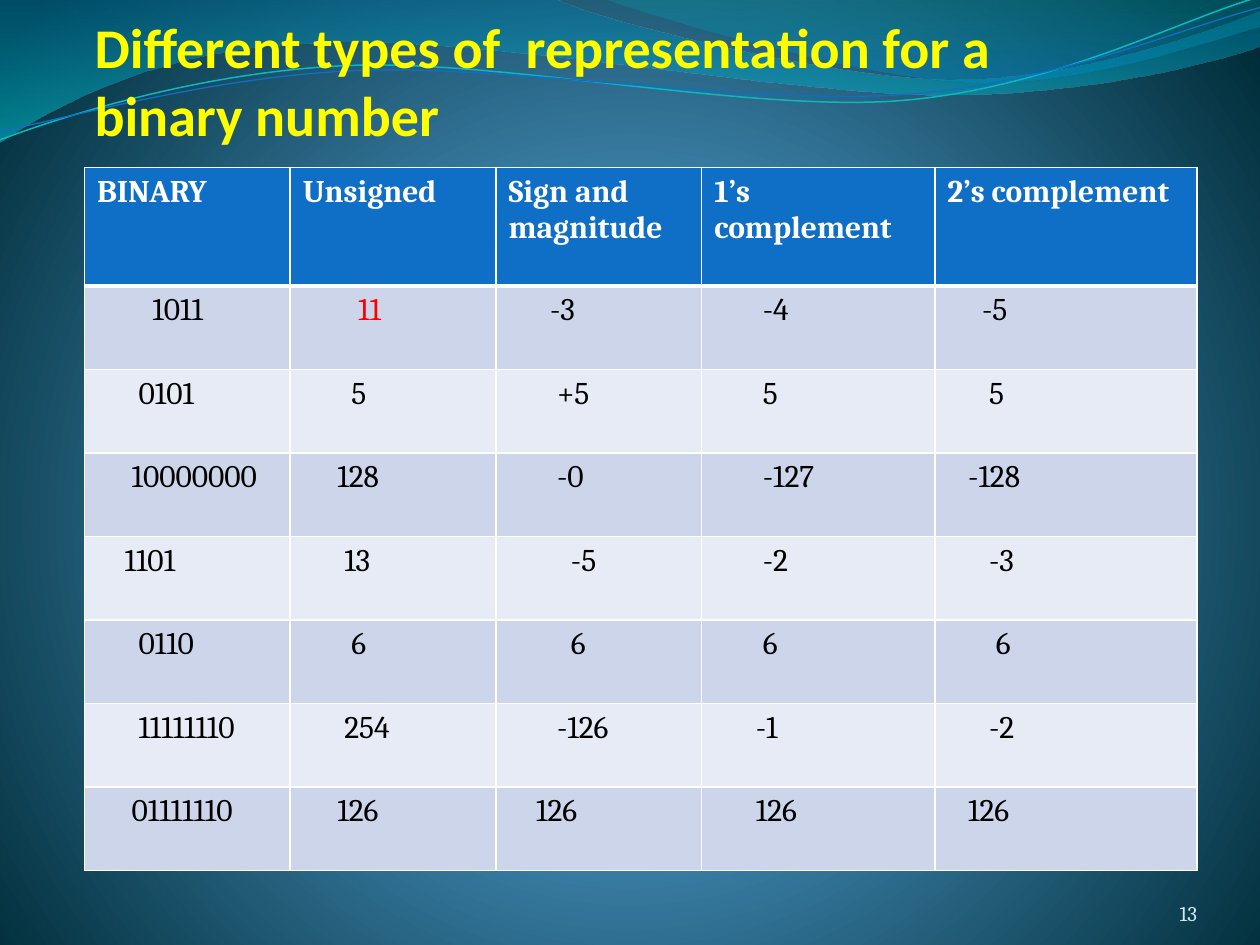
from math import cos, radians, sin

from lxml import etree
from pptx import Presentation
from pptx.dml.color import RGBColor
from pptx.enum.text import MSO_ANCHOR, MSO_AUTO_SIZE, PP_ALIGN
from pptx.oxml import parse_xml
from pptx.oxml.ns import nsdecls, qn
from pptx.util import Inches, Pt

BOTTOM = MSO_ANCHOR.BOTTOM
NO_AUTOFIT = MSO_AUTO_SIZE.NONE
LEFT, RIGHT = PP_ALIGN.LEFT, PP_ALIGN.RIGHT

YELLOW = RGBColor(0xFF, 0xFF, 0x00)
PALE_CYAN = RGBColor(0xD1, 0xEA, 0xEE)
WHITE = RGBColor(0xFF, 0xFF, 0xFF)
BLACK = RGBColor(0x00, 0x00, 0x00)
RED = RGBColor(0xFF, 0x00, 0x00)
BLUE = RGBColor(0x0F, 0x6F, 0xC6)
TURQUOISE = RGBColor(0x0A, 0xB8, 0xBF)
BAND_DARK = RGBColor(0xCC, 0xD5, 0xEA)
BAND_LIGHT = RGBColor(0xE7, 0xEB, 0xF5)
GLOW = RGBColor(0x4A, 0xA0, 0xD6)
MID_BLUE = RGBColor(0x4C, 0x98, 0xC7)
DEEP_TEAL = RGBColor(0x00, 0x2C, 0x38)
WAVE_BLUE = RGBColor(0x00, 0x74, 0xA1)
WAVE_CYAN = RGBColor(0x00, 0xC6, 0xCF)
CREST_TEAL = RGBColor(0x00, 0xA1, 0xA9)
CREST_BLUE = RGBColor(0x00, 0x8B, 0xBF)

RADIAL = '<a:path path="circle"><a:fillToRect l="10000" t="110000" r="10000" b="100000"/></a:path>'
DOWNWARD = '<a:lin ang="5400000" scaled="0"/>'

STRAND_TILT = -2.7
STRAND_CENTER = (4.99, 0.58)
INDENT_STEP = 0.055
TABLE_WIDTH, TABLE_HEIGHT = 8.83, 5.58
LAST_WIDTHS = [1.85, 2.08]
COLUMN_WIDTHS = [(TABLE_WIDTH - sum(LAST_WIDTHS)) / 3] * 3 + LAST_WIDTHS
HEADER_HEIGHT = 0.94

HEADERS = ["BINARY", "Unsigned", "Sign and magnitude", "1’s complement", "2’s complement"]
ROWS = [
    [("1011", 8), ("11", 8), ("-3", 6), ("-4", 7), ("-5", 5)],
    [("0101", 6), ("5", 7), ("+5", 7), ("5", 7), ("5", 6)],
    [("10000000", 5), ("128", 5), ("-0", 7), ("-127", 7), ("-128", 3)],
    [("1101", 4), ("13", 6), ("-5", 9), ("-2", 7), ("-3", 6)],
    [("0110", 6), ("6", 7), ("6", 9), ("6", 7), ("6", 7)],
    [("11111110", 6), ("254", 6), ("-126", 7), ("-1", 6), ("-2", 6)],
    [("01111110", 5), ("126", 5), ("126", 4), ("126", 6), ("126", 3)],
]
ROW_HEIGHT = (TABLE_HEIGHT - HEADER_HEIGHT) / len(ROWS)

WAVE = [
    [(0, 0)],
    [(4.4, -0.01)],
    [(4.76, 0.17), (6.64, 0.63), (7.58, 0.63)],
    [(8.53, 0.63), (9.58, 0.26), (10, 0.09)],
    [(10.01, 0.36)],
    [(9.83, 0.44), (8.7, 0.76), (7.46, 0.75)],
    [(6.22, 0.75), (3.82, 0.28), (2.57, 0.34)],
    [(1.29, 0.36), (0.46, 0.83), (-0.01, 1.13)],
]
CREST = [
    [(4.79, -0.01)],
    [(5.09, 0.11), (6.82, 0.62), (7.69, 0.65)],
    [(8.56, 0.69), (9.61, 0.32), (10, 0.21)],
    [(10, 0)],
]
UPPER_STRAND = [
    [(0, 1.11)],
    [(0.48, 0.93), (1.58, 0.57), (2.77, 0.52)],
    [(3.95, 0.47), (5.93, 0.89), (7.13, 0.8)],
    [(8.33, 0.71), (9.38, 0.15), (9.98, -0.02)],
]
LOWER_STRAND = [
    [(0, 1.04)],
    [(0.47, 0.96), (1.64, 0.61), (2.83, 0.56)],
    [(4.03, 0.51), (5.97, 0.84), (7.17, 0.75)],
    [(8.36, 0.67), (9.41, 0.21), (10, 0.06)],
]


def set_gradient(properties, stops, direction):
    gradient = parse_xml(f'<a:gradFill {nsdecls("a")} rotWithShape="1"><a:gsLst/>{direction}</a:gradFill>')
    for position, color, opacity in stops:
        stop = etree.SubElement(gradient[0], qn("a:gs"), pos=str(position * 1000))
        tint = etree.SubElement(stop, qn("a:srgbClr"), val=str(color))
        if opacity < 100:
            etree.SubElement(tint, qn("a:alpha"), val=str(opacity * 1000))
    properties.replace(properties.find(qn("a:solidFill")), gradient)


def level(point):
    angle = radians(-STRAND_TILT)
    dx, dy = (value - center for value, center in zip(point, STRAND_CENTER))
    return (
        STRAND_CENTER[0] + dx * cos(angle) - dy * sin(angle),
        STRAND_CENTER[1] + dx * sin(angle) + dy * cos(angle),
    )


def add_outline(slide, segments, close):
    segments = [[(Inches(x), Inches(y)) for x, y in segment] for segment in segments]
    anchors = [segment[-1] for segment in segments]
    builder = slide.shapes.build_freeform(*anchors[0])
    builder.add_line_segments(anchors[1:], close=close)
    outline = builder.convert_to_shape()
    outline.shadow.inherit = False
    straight_parts = list(outline.element.iter(qn("a:lnTo")))
    for straight, segment in zip(straight_parts, segments[1:]):
        if len(segment) == 3:
            curve = etree.Element(qn("a:cubicBezTo"))
            for x, y in segment:
                etree.SubElement(curve, qn("a:pt"), x=str(x - outline.left), y=str(y - outline.top))
            straight.getparent().replace(straight, curve)
    return outline


def add_wave(slide, segments, stops):
    wave = add_outline(slide, segments, True)
    wave.line.fill.background()
    wave.fill.solid()
    set_gradient(wave.element.spPr, stops, DOWNWARD)


def add_strand(slide, segments, color, width):
    strand = add_outline(slide, [[level(point) for point in segment] for segment in segments], False)
    strand.rotation = STRAND_TILT
    strand.fill.background()
    strand.line.color.rgb = color
    strand.line.width = Pt(width)


def format_runs(paragraph, font_name, size, color, bold=False):
    for run in paragraph.runs:
        run.font.name = font_name
        run.font.size = Pt(size)
        run.font.bold = bold
        run.font.color.rgb = color


def fill_text(holder, text, align):
    frame = holder.text_frame
    frame.text = text
    frame.word_wrap = True
    frame.auto_size = NO_AUTOFIT
    frame.vertical_anchor = BOTTOM
    frame.margin_left = frame.margin_right = frame.margin_top = frame.margin_bottom = 0
    frame.paragraphs[0].alignment = align
    return frame.paragraphs[0]


def set_title(slide):
    title = slide.shapes.title
    title.left, title.top, title.width, title.height = map(Inches, (0.75, 0.67, 8.25, 0.5))
    heading = fill_text(title, "Different types of  representation for a binary number", LEFT)
    format_runs(heading, "Calibri", 32, YELLOW, True)
    title.element.getparent().append(title.element)


def add_page_number(slide):
    box = slide.shapes.add_textbox(*map(Inches, (8.67, 6.95, 0.83, 0.4)))
    format_runs(fill_text(box, "13", RIGHT), "Cambria", 12, PALE_CYAN)


def set_borders(cell, top, bottom):
    properties = cell._tc.get_or_add_tcPr()
    for index, (side, width) in enumerate([("L", 1), ("R", 1), ("T", top), ("B", bottom)]):
        properties.insert(index, parse_xml(
            f'<a:ln{side} {nsdecls("a")} w="{Pt(width)}"><a:solidFill>'
            f'<a:srgbClr val="{WHITE}"/></a:solidFill></a:ln{side}>'
        ))


def fill_cell(cell, text, background, color, bold=False, indent=0, top=1, bottom=1):
    cell.fill.solid()
    cell.fill.fore_color.rgb = background
    cell.margin_left = Inches(0.1 + indent * INDENT_STEP)
    cell.text_frame.text = text
    format_runs(cell.text_frame.paragraphs[0], "Cambria", 18, color, bold)
    set_borders(cell, top, bottom)


def add_number_table(slide):
    bounds = map(Inches, (0.67, 1.33, TABLE_WIDTH, TABLE_HEIGHT))
    table = slide.shapes.add_table(len(ROWS) + 1, len(HEADERS), *bounds).table
    for column, width in zip(table.columns, COLUMN_WIDTHS):
        column.width = Inches(width)
    table.rows[0].height = Inches(HEADER_HEIGHT)
    for column, header in enumerate(HEADERS):
        fill_cell(table.cell(0, column), header, BLUE, WHITE, bold=True, bottom=3)
    for row, entries in enumerate(ROWS, 1):
        table.rows[row].height = Inches(ROW_HEIGHT)
        band = BAND_DARK if row % 2 else BAND_LIGHT
        for column, (number, indent) in enumerate(entries):
            color = RED if number == "11" else BLACK
            fill_cell(table.cell(row, column), number, band, color, indent=indent, top=3 if row == 1 else 1)


def main():
    presentation = Presentation()
    presentation.slide_width, presentation.slide_height = Inches(10), Inches(7.5)
    slide = presentation.slides.add_slide(presentation.slide_layouts[5])
    slide.background.fill.solid()
    backdrop = slide.element.find(".//" + qn("p:bgPr"))
    set_gradient(backdrop, [(0, GLOW, 100), (25, MID_BLUE, 100), (100, DEEP_TEAL, 100)], RADIAL)
    add_wave(slide, WAVE, [(0, WAVE_BLUE, 45), (100, WAVE_CYAN, 55)])
    add_wave(slide, CREST, [(0, CREST_TEAL, 30), (80, CREST_BLUE, 45)])
    add_strand(slide, UPPER_STRAND, TURQUOISE, 0.85)
    add_strand(slide, LOWER_STRAND, BLUE, 0.75)
    set_title(slide)
    add_page_number(slide)
    add_number_table(slide)
    presentation.save("out.pptx")


if __name__ == "__main__":
    main()
